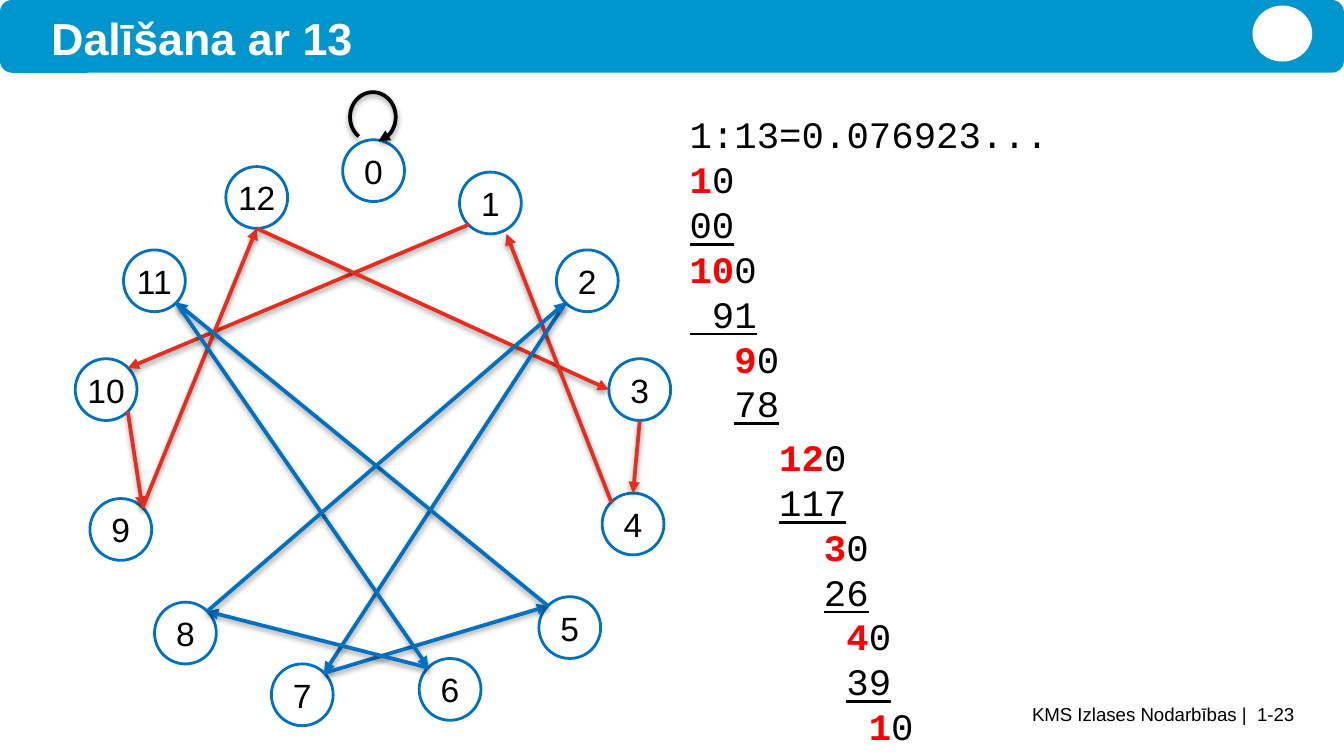
import pptx
import pptx.util
import pptx.dml.color
import pptx.enum.shapes
import pptx.enum.text
import pptx.oxml
import pptx.oxml.ns

Pt = pptx.util.Pt
RGB = pptx.dml.color.RGBColor.from_string
SHAPE = pptx.enum.shapes.MSO_SHAPE
ALIGN = pptx.enum.text.PP_ALIGN
ANCHOR = pptx.enum.text.MSO_ANCHOR

THEME = {
    "bar": "0095CD", "white": "FFFFFF", "black": "000000",
    "node": "0070C0", "red_cycle": "E62D1E", "blue_cycle": "0070C0",
    "title": {"name": "Arial", "size": Pt(24), "bold": True},
    "label": {"name": "Arial", "size": Pt(18)},
    "footer": {"name": "Arial", "size": Pt(10)},
    "digits": {"name": "Courier New", "size": Pt(20)},
    "remainder": "FF0000",
}
NS = pptx.oxml.ns.nsdecls("a")
SHADOW = (f'<a:effectLst {NS}><a:outerShdw blurRad="{Pt(3.1)}" dist="{Pt(1.6)}" dir="5400000" '
          'rotWithShape="0"><a:srgbClr val="000000"><a:alpha val="38000"/></a:srgbClr>'
          '</a:outerShdw></a:effectLst>')


def add_run(p, text, style, color, **extra):
    r = p.add_run()
    r.text = text
    for name, value in {**style, **extra}.items():
        setattr(r.font, name, value)
    r.font.color.rgb = RGB(color)


def style_arrow(s, color):
    """Give a connector or arc its line, arrowhead and soft shadow."""
    s.line.color.rgb = RGB(color)
    s.line.width = Pt(2)
    ln = s.line._get_or_add_ln()
    ln.append(pptx.oxml.parse_xml(f'<a:tailEnd {NS} type="triangle"/>'))
    ln.addnext(pptx.oxml.parse_xml(SHADOW))


prs = pptx.Presentation()
prs.slide_width, prs.slide_height = Pt(720), Pt(405)
slide = prs.slides.add_slide(prs.slide_layouts[1])
shapes = slide.shapes
title, body = shapes.title, slide.placeholders[1]

# Header bar with a plain emblem
for kind, box, color in (
    (SHAPE.ROUNDED_RECTANGLE, (0, 0, 720, 39), "bar"),
    (SHAPE.OVAL, (671, 3, 32, 30), "white"),
):
    s = shapes.add_shape(kind, *map(Pt, box))
    s.shadow.inherit = False
    s.fill.solid()
    s.fill.fore_color.rgb = RGB(THEME[color])
    s.line.fill.background()

# Title, footer and body frames
footer = shapes.add_textbox(0, 0, 0, 0)
for s, box, anchor in (
    (footer, (173.5, 376.6, 519.8, 23.8), ANCHOR.TOP),
    (title, (27.4, 5, 595.4, 30.2), ANCHOR.MIDDLE),
    (body, (369.4, 59.8, 323.3, 331.9), ANCHOR.TOP),
):
    s.left, s.top, s.width, s.height = map(Pt, box)
    settings = {"margin_left": 0, "margin_right": 0, "margin_top": 0, "margin_bottom": 0,
                "word_wrap": True, "auto_size": pptx.enum.text.MSO_AUTO_SIZE.NONE,
                "vertical_anchor": anchor}
    for name, value in settings.items():
        setattr(s.text_frame, name, value)
    shapes._spTree.append(s.element)

p = title.text_frame.paragraphs[0]
p.alignment = ALIGN.LEFT
add_run(p, "Dalīšana ar 13", THEME["title"], THEME["white"])
p = footer.text_frame.paragraphs[0]
p.alignment = ALIGN.RIGHT
add_run(p, "KMS Izlases Nodarbības |  1-23", THEME["footer"], THEME["black"])

# Remainder nodes 0 to 12
DIAMETER = 33.1
corners = [
    (183.6, 74.9), (246.2, 92.2), (298.1, 133.9), (326.2, 192.2), (322.6, 264.2),
    (288.7, 319.7), (224.6, 352.8), (145.4, 355.7), (82.8, 322.6), (48.2, 267.1),
    (40.3, 192.2), (66.2, 133.9), (121, 89.3),
]
for number, (x, y) in enumerate(corners):
    s = shapes.add_shape(SHAPE.OVAL, Pt(x), Pt(y), Pt(DIAMETER), Pt(DIAMETER))
    s.shadow.inherit = False
    s.fill.background()
    s.line.color.rgb = RGB(THEME["node"])
    s.line.width = Pt(1.5)
    tf = s.text_frame
    tf.margin_left = tf.margin_right = 0
    tf.word_wrap = False
    tf.vertical_anchor = ANCHOR.MIDDLE
    p = tf.paragraphs[0]
    p.alignment = ALIGN.CENTER
    add_run(p, str(number), THEME["label"], THEME["black"])

# Where arrows touch a node, as fractions of its diameter
SIDES = {"t": (0.5, 0), "b": (0.5, 1), "l": (0, 0.5), "tl": (0.15, 0.15), "tr": (0.85, 0.15),
         "bl": (0.15, 0.85), "br": (0.85, 0.85), "b+": (0.76, 1)}
cycles = {
    "red_cycle": [(1, "bl", 10, "tr"), (10, "br", 9, "tr"), (9, "tr", 12, "b"),
                  (12, "b", 3, "l"), (3, "b", 4, "t"), (4, "tl", 1, "b+")],
    "blue_cycle": [(2, "bl", 7, "tr"), (7, "tr", 5, "tl"), (5, "tl", 11, "br"),
                   (11, "br", 6, "tl"), (6, "tl", 8, "tr"), (8, "tr", 2, "bl")],
}
for color, arrows in cycles.items():
    for start, start_side, end, end_side in arrows:
        ends = [Pt(corner + DIAMETER * part)
                for node, side in ((start, start_side), (end, end_side))
                for corner, part in zip(corners[node], SIDES[side])]
        s = shapes.add_connector(pptx.enum.shapes.MSO_CONNECTOR.STRAIGHT, *ends)
        style_arrow(s, THEME[color])

# Loop from 0 to itself
loop = shapes.add_shape(SHAPE.ARC, Pt(186.5), Pt(50.4), Pt(26.6), Pt(24.5))
loop.rotation = 270
loop.adjustments[0], loop.adjustments[1] = 129.62, 100.08
loop.fill.background()
style_arrow(loop, THEME["black"])

# Long division: indent in characters, remainder, digits, underlined digits
CHAR_WIDTH = 12
rows = [
    (0, "", "1:13=0.076923...", ""),
    (0, "1", "0", ""), (0, "", "", "00"),
    (0, "10", "0", ""), (0, "", "", " 91"),
    (2, "9", "0", ""), (2, "", "", "78"),
    (4, "12", "0", ""), (4, "", "", "117"),
    (6, "3", "0", ""), (6, "", "", "26"),
    (7, "4", "0", ""), (7, "", "", "39"),
    (8, "1", "0", ""),
]
tf = body.text_frame
for i, (indent, remainder, digits, underlined) in enumerate(rows):
    p = tf.add_paragraph() if i else tf.paragraphs[0]
    p.line_spacing = Pt(24)
    p.space_before = Pt(4.8 if i == 7 else 0)
    pPr = p._p.get_or_add_pPr()
    pPr.set("marL", str(Pt(indent * CHAR_WIDTH)))
    pPr.set("indent", "0")
    pPr.append(pptx.oxml.parse_xml(f"<a:buNone {NS}/>"))
    for text, color, extra in ((remainder, "remainder", {"bold": True}),
                               (digits, "black", {}),
                               (underlined, "black", {"underline": True})):
        if text:
            add_run(p, text, THEME["digits"], THEME[color], **extra)

prs.save("out.pptx")
